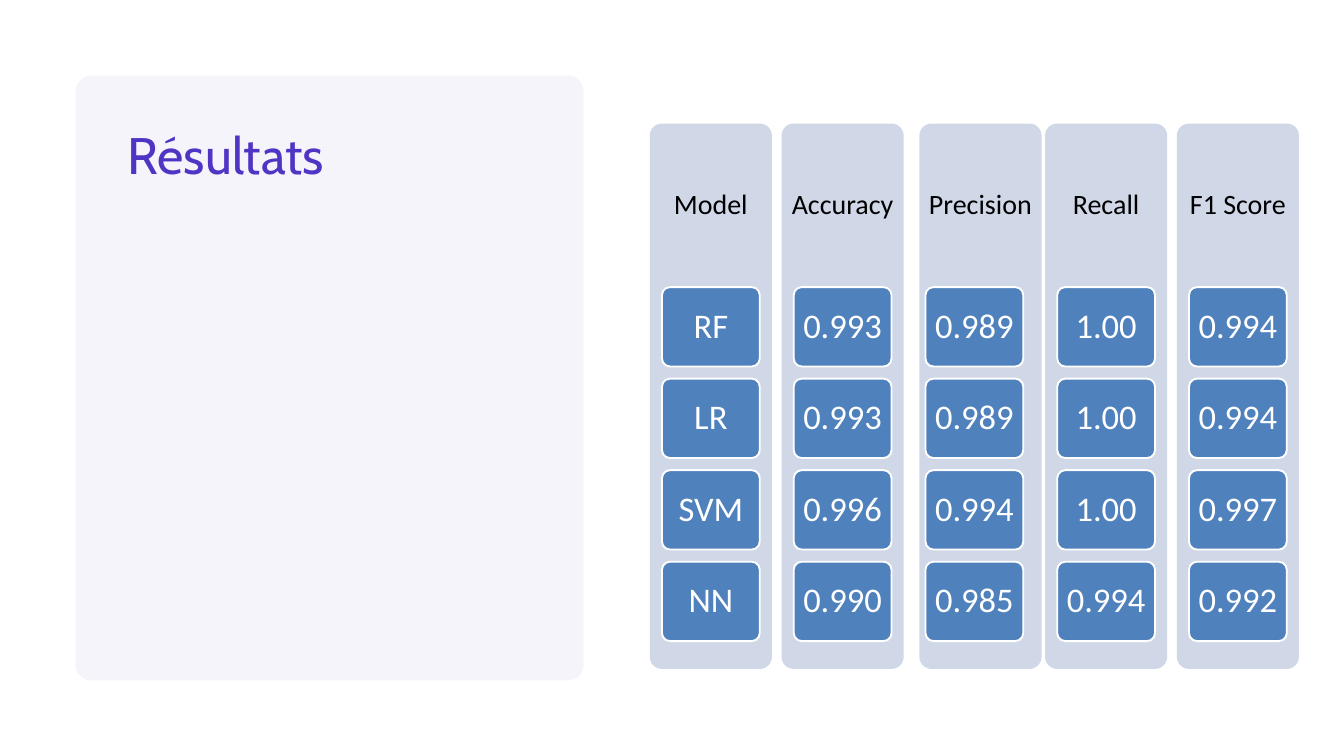
from dataclasses import dataclass

import lxml.etree
import pptx
import pptx.dml.color
import pptx.enum.shapes
import pptx.enum.text
import pptx.oxml.ns
import pptx.util

Cm = pptx.util.Cm
Pt = pptx.util.Pt


@dataclass(frozen=True)
class Theme:
    accent: str = "5034C4"
    column: str = "D0D8E8"
    tile: str = "4F81BD"
    white: str = "FFFFFF"
    black: str = "000000"
    title_font: str = "Cabin"
    body_font: str = "Calibri"
    title_size: int = 55
    header_size: int = 30
    value_size: int = 37
    panel_opacity: int = 5


THEME = Theme()

RESULTS = {
    "Model": ["RF", "LR", "SVM", "NN"],
    "Accuracy": ["0.993", "0.993", "0.996", "0.990"],
    "Precision": ["0.989", "0.989", "0.994", "0.985"],
    "Recall": ["1.00", "1.00", "1.00", "0.994"],
    "F1 Score": ["0.994", "0.994", "0.997", "0.992"],
}
# The Precision column sits slightly right of its tiles
COLUMN_SHIFT = {"Precision": 0.23}


def rgb(color):
    return pptx.dml.color.RGBColor.from_string(color)


def add_round_box(slide, left, top, width, height, fill, corner, line=None):
    shape = slide.shapes.add_shape(
        pptx.enum.shapes.MSO_SHAPE.ROUNDED_RECTANGLE,
        Cm(left), Cm(top), Cm(width), Cm(height))
    shape.adjustments[0] = corner
    shape.shadow.inherit = False
    shape.fill.solid()
    shape.fill.fore_color.rgb = rgb(fill)
    if line:
        shape.line.color.rgb = rgb(line)
        shape.line.width = Pt(2)
    else:
        shape.line.fill.background()
    return shape


def write_text(shape, text, font, size, color, margin, line_spacing,
               align=pptx.enum.text.PP_ALIGN.CENTER,
               anchor=pptx.enum.text.MSO_ANCHOR.MIDDLE):
    text_frame = shape.text_frame
    text_frame.text = text
    text_frame.word_wrap = True
    text_frame.vertical_anchor = anchor
    text_frame.margin_left = text_frame.margin_right = Cm(margin)
    text_frame.margin_top = text_frame.margin_bottom = Cm(margin)
    paragraph = text_frame.paragraphs[0]
    paragraph.alignment = align
    paragraph.line_spacing = line_spacing
    run_font = paragraph.runs[0].font
    run_font.name = font
    run_font.size = Pt(size)
    run_font.color.rgb = rgb(color)


def add_title_panel(slide, left, top, width, height):
    # Pale translucent panel
    panel = add_round_box(slide, left, top, width, height, THEME.accent, 0.03)
    color = panel.fill._xPr.find(".//" + pptx.oxml.ns.qn("a:srgbClr"))
    alpha = lxml.etree.SubElement(color, pptx.oxml.ns.qn("a:alpha"))
    alpha.set("val", str(THEME.panel_opacity * 1000))

    # Title
    title = slide.shapes.add_textbox(
        Cm(left + 1.97), Cm(top + 1.81), Cm(width - 3.76), Cm(2.36))
    write_text(title, "Résultats", THEME.title_font, THEME.title_size,
               THEME.accent, 0, Pt(66), pptx.enum.text.PP_ALIGN.LEFT,
               pptx.enum.text.MSO_ANCHOR.TOP)
    title.text_frame.auto_size = pptx.enum.text.MSO_AUTO_SIZE.SHAPE_TO_FIT_TEXT


def add_result_column(slide, left, top, width, height, header, values):
    header_height = height * 0.3
    tile_width = width * 0.8
    tile_height = 3
    tile_pitch = 3.46

    # Column background and header
    column_left = left + COLUMN_SHIFT.get(header, 0)
    add_round_box(slide, column_left, top, width, height, THEME.column, 0.1)
    header_box = slide.shapes.add_textbox(
        Cm(column_left), Cm(top), Cm(width), Cm(header_height))
    write_text(header_box, header, THEME.body_font, THEME.header_size,
               THEME.black, 0.3, 0.9)

    # Value tiles
    for row, value in enumerate(values):
        tile = add_round_box(
            slide, left + (width - tile_width) / 2,
            top + header_height + row * tile_pitch,
            tile_width, tile_height, THEME.tile, 0.1, THEME.white)
        write_text(tile, value, THEME.body_font, THEME.value_size,
                   THEME.white, 0.2, 0.9)


def add_results(slide, left, top, width, height):
    column_width = 4.62
    pitch = (width - column_width) / (len(RESULTS) - 1)
    for index, (header, values) in enumerate(RESULTS.items()):
        add_result_column(slide, left + index * pitch, top, column_width,
                          height, header, values)


def main():
    presentation = pptx.Presentation()
    presentation.slide_width = Cm(50.8)
    presentation.slide_height = Cm(28.58)
    slide = presentation.slides.add_slide(presentation.slide_layouts[6])
    add_title_panel(slide, 2.86, 2.86, 19.2, 22.86)
    add_results(slide, 24.56, 4.67, 24.54, 20.62)
    presentation.save("out.pptx")


if __name__ == "__main__":
    main()
